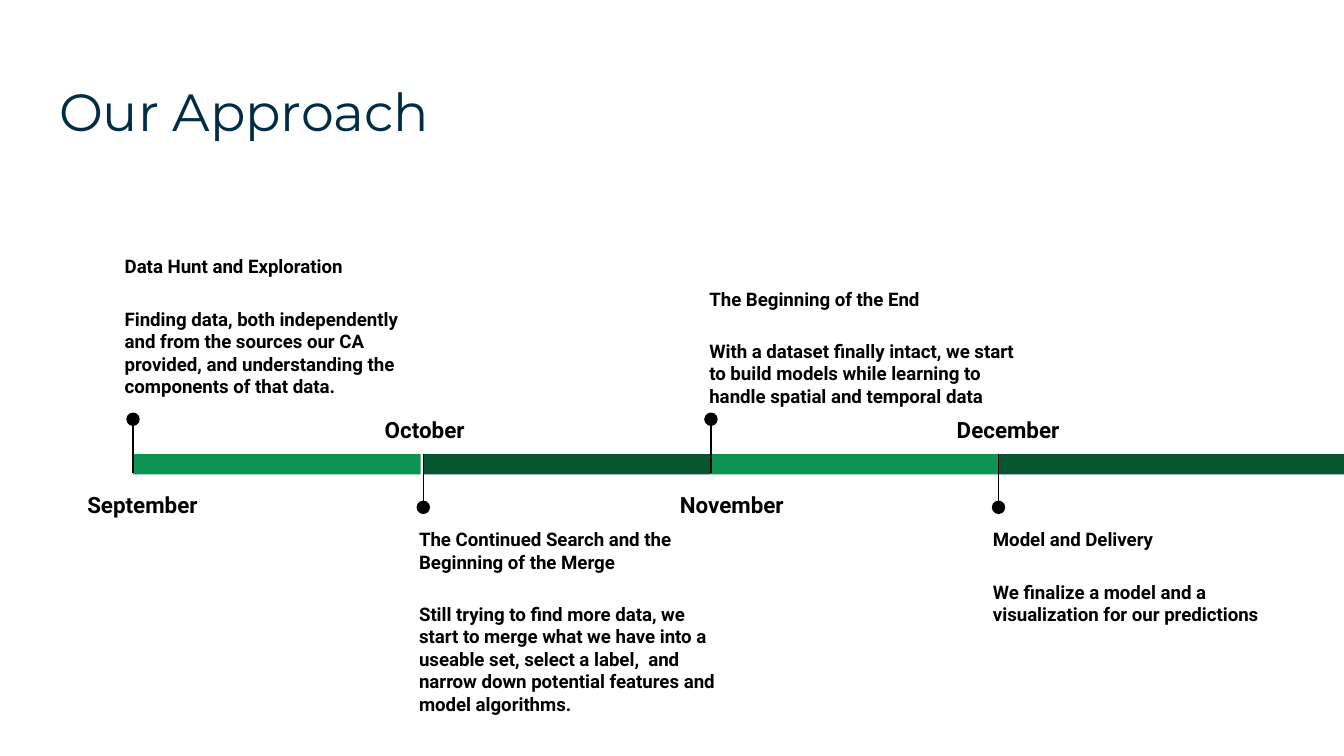
import collections
import pptx
import pptx.dml.color
import pptx.enum.shapes
import pptx.enum.text
import pptx.oxml.ns
import pptx.util
import lxml.etree

ALIGN = pptx.enum.text.PP_ALIGN
SHAPES = pptx.enum.shapes.MSO_SHAPE
COLORS = {"title": "002D45", "light": "0E9453", "dark": "085631", "ink": "000000", "paper": "FFFFFF"}
COLUMNS, ROWS = 100, 56.25
CELL = pptx.util.Inches(0.1)
BAR_TOP, BAR_HEIGHT = 33.8, 1.5
DOT = 1.0
STORY_WIDTH, STORY_HEIGHT = 24.7, 10.3
LABEL_HEIGHT = 4.1

Box = collections.namedtuple("Box", "left top width height")
Milestone = collections.namedtuple(
    "Milestone", "month label_shift label_width label_align heading story story_shift story_rise above color"
)

MILESTONES = [
    (9.9, 21.4, Milestone(
        "September", -4.7, 10.8, ALIGN.CENTER, "Data Hunt and Exploration",
        "Finding data, both independently and from the sources our CA provided, "
        "and understanding the components of that data.",
        -1.6, -15.8, True, "light")),
    (31.5, 21.4, Milestone(
        "October", -4, 8.2, ALIGN.CENTER, "The Continued Search and the Beginning of the Merge",
        "Still trying to find more data, we start to merge what we have into a useable set, "
        "select a label,  and narrow down potential features and model algorithms.",
        -1.3, 4.5, False, "dark")),
    (52.9, 21.4, Milestone(
        "November", -3.5, 10.1, ALIGN.CENTER, "The Beginning of the End",
        "With a dataset finally intact, we start to build models while learning to "
        "handle spatial and temporal data",
        -1.1, -13.4, True, "light")),
    (74.3, 25.7, Milestone(
        "December", -4.1, 11.1, ALIGN.LEFT, "Model and Delivery",
        "We finalize a model and a visualization for our predictions",
        -1.4, 4.5, False, "dark")),
]


def color(name):
    return pptx.dml.color.RGBColor.from_string(COLORS[name])


def cells(*counts):
    return [round(count * CELL) for count in counts]


def format_frame(frame):
    frame.word_wrap = True
    frame.auto_size = pptx.enum.text.MSO_AUTO_SIZE.NONE
    frame.vertical_anchor = pptx.enum.text.MSO_ANCHOR.TOP
    frame.margin_left = frame.margin_top = frame.margin_right = frame.margin_bottom = CELL


def format_font(font, name, size, color_name, bold):
    font.name, font.size, font.bold = name, pptx.util.Pt(size), bold
    font.color.rgb = color(color_name)


def add_text(slide, box, paragraphs, size):
    frame = slide.shapes.add_textbox(*cells(*box)).text_frame
    format_frame(frame)
    frame.text = "\n".join(paragraphs)
    for paragraph in frame.paragraphs:
        format_font(paragraph.font, "Roboto", size, "ink", True)
    return frame.paragraphs


def add_solid(slide, kind, box, color_name):
    shape = slide.shapes.add_shape(kind, *cells(*box))
    shape.shadow.inherit = False
    shape.fill.solid()
    shape.fill.fore_color.rgb = color(color_name)
    shape.line.fill.background()


def add_pin(slide, left, top, bottom, dot_top):
    connector = slide.shapes.add_connector(
        pptx.enum.shapes.MSO_CONNECTOR.STRAIGHT, *cells(left, top, left, bottom))
    connector.line.color.rgb = color("ink")
    connector.line.width = pptx.util.Pt(0.75)
    lxml.etree.SubElement(connector._element.spPr, pptx.oxml.ns.qn("a:effectLst"))
    add_solid(slide, SHAPES.OVAL, Box(left - DOT / 2, dot_top, DOT, DOT), "ink")


def add_title(slide, box):
    title = slide.shapes.title
    title.left, title.top, title.width, title.height = cells(*box)
    format_frame(title.text_frame)
    title.text_frame.text = "Our Approach"
    paragraph = title.text_frame.paragraphs[0]
    paragraph.alignment = ALIGN.LEFT
    format_font(paragraph.font, "Montserrat", 28, "title", False)


def add_milestone(slide, box, milestone):
    add_solid(slide, SHAPES.RECTANGLE, box, milestone.color)
    if milestone.above:
        pin_top, pin_bottom, dot_top, label_top = -2.5, 1.4, -3.1, 1.45
    else:
        pin_top, pin_bottom, dot_top, label_top = 0, 3.9, 3.45, -4.15
    add_pin(slide, box.left, box.top + pin_top, box.top + pin_bottom, box.top + dot_top)

    label_box = Box(box.left + milestone.label_shift, box.top + label_top, milestone.label_width, LABEL_HEIGHT)
    month = add_text(slide, label_box, [milestone.month], 12)[0]
    month.alignment = milestone.label_align
    month.line_spacing = 1.15
    month.space_after = pptx.util.Pt(16)

    story_box = Box(box.left + milestone.story_shift, box.top + milestone.story_rise, STORY_WIDTH, STORY_HEIGHT)
    story = add_text(slide, story_box, [milestone.heading, milestone.story], 10)[1]
    story.space_before = pptx.util.Pt(16)


def main():
    presentation = pptx.Presentation()
    presentation.slide_width, presentation.slide_height = cells(COLUMNS, ROWS)
    slide = presentation.slides.add_slide(presentation.slide_layouts.get_by_name("Title Only"))
    slide.background.fill.solid()
    slide.background.fill.fore_color.rgb = color("paper")
    add_title(slide, Box(3.4, 4.9, 93.2, 6.3))
    for left, width, milestone in MILESTONES:
        add_milestone(slide, Box(left, BAR_TOP, width, BAR_HEIGHT), milestone)
    presentation.save("out.pptx")


if __name__ == "__main__":
    main()
